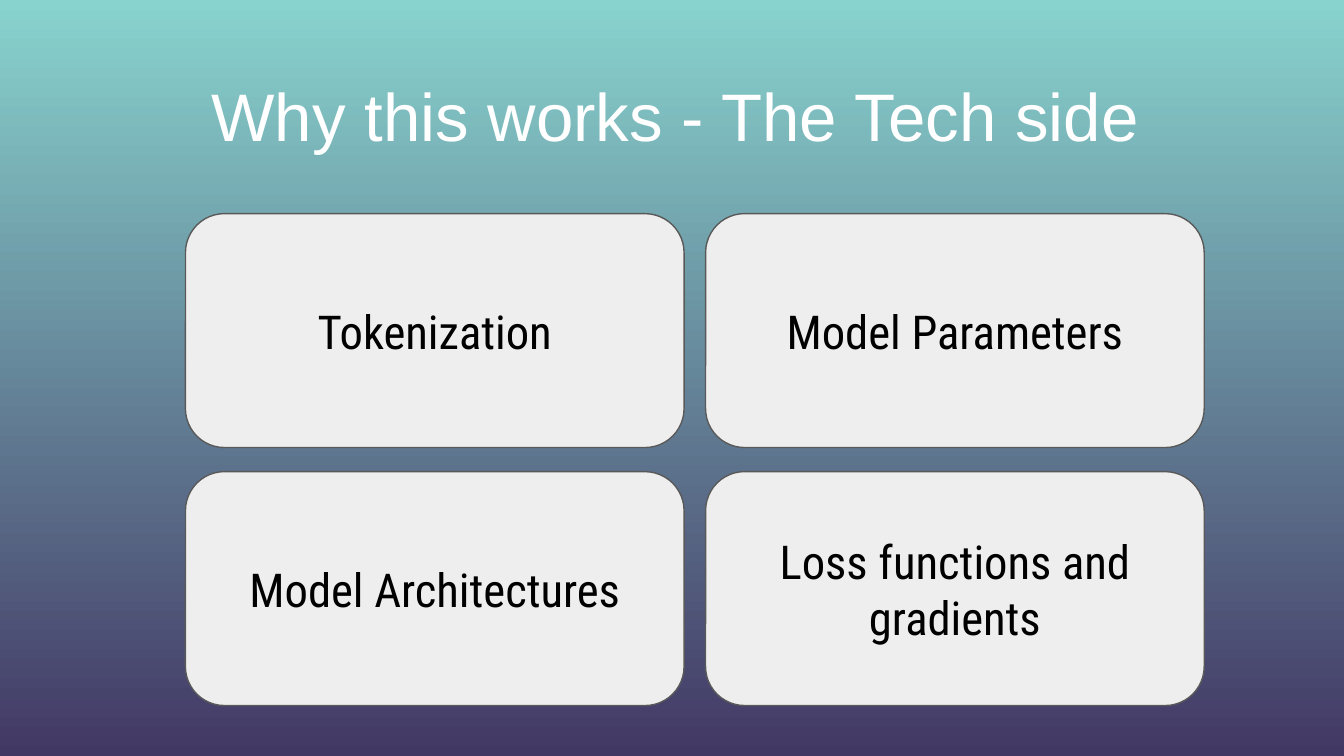
from pptx import Presentation
from pptx.dml.color import RGBColor
from pptx.enum.shapes import MSO_SHAPE
from pptx.enum.text import MSO_ANCHOR, MSO_AUTO_SIZE, PP_ALIGN
from pptx.util import Inches, Pt

# Content
TITLE = "Why this works - The Tech side"
TOPICS = [
    "Tokenization", "Model Parameters",
    "Model Architectures", "Loss functions and gradients",
]

# Colours
TEAL = RGBColor(0x88, 0xD3, 0xCE)
PURPLE = RGBColor(0x42, 0x38, 0x64)
WHITE = RGBColor(0xFF, 0xFF, 0xFF)
BLACK = RGBColor(0x00, 0x00, 0x00)
CARD_FILL = RGBColor(0xEE, 0xEE, 0xEE)
CARD_LINE = RGBColor(0x59, 0x59, 0x59)

# Card grid, in inches
COLUMNS = 2
LEFT, TOP = 1.38, 1.59
CARD_W, CARD_H = 3.71, 1.74
PITCH_X, PITCH_Y = 3.87, 1.92


def write(frame, text, font_name, size, color):
    """Put one centred paragraph in a text frame."""
    frame.word_wrap = True
    frame.auto_size = MSO_AUTO_SIZE.NONE
    frame.vertical_anchor = MSO_ANCHOR.MIDDLE
    frame.margin_left = frame.margin_right = Inches(0.1)
    frame.margin_top = frame.margin_bottom = Inches(0.1)
    frame.text = text
    paragraph = frame.paragraphs[0]
    paragraph.alignment = PP_ALIGN.CENTER
    paragraph.font.name = font_name
    paragraph.font.size = Pt(size)
    paragraph.font.color.rgb = color


def add_card(slide, index, topic):
    row, column = divmod(index, COLUMNS)
    card = slide.shapes.add_shape(
        MSO_SHAPE.ROUNDED_RECTANGLE,
        Inches(LEFT + column * PITCH_X), Inches(TOP + row * PITCH_Y),
        Inches(CARD_W), Inches(CARD_H))
    card.shadow.inherit = False
    card.fill.solid()
    card.fill.fore_color.rgb = CARD_FILL
    card.line.color.rgb = CARD_LINE
    card.line.width = Pt(0.75)
    write(card.text_frame, topic, "Roboto Condensed", 25, BLACK)


def main():
    # Widescreen slide, 16:9
    prs = Presentation()
    prs.slide_width = Inches(10)
    prs.slide_height = Inches(10 * 9 / 16)
    slide = prs.slides.add_slide(prs.slide_layouts[5])

    # Background, teal at the top to purple at the bottom
    background = slide.background.fill
    background.gradient()
    background.gradient_angle = 270
    for stop, color in zip(background.gradient_stops, (TEAL, PURPLE)):
        stop.color.rgb = color

    # Title
    title = slide.shapes.title
    title.left, title.top = Inches(0.55), Inches(0.49)
    title.width, title.height = Inches(8.95), Inches(0.73)
    write(title.text_frame, TITLE, "Arial", 36, WHITE)

    # Topic cards
    for index, topic in enumerate(TOPICS):
        add_card(slide, index, topic)

    prs.save("out.pptx")


if __name__ == "__main__":
    main()
